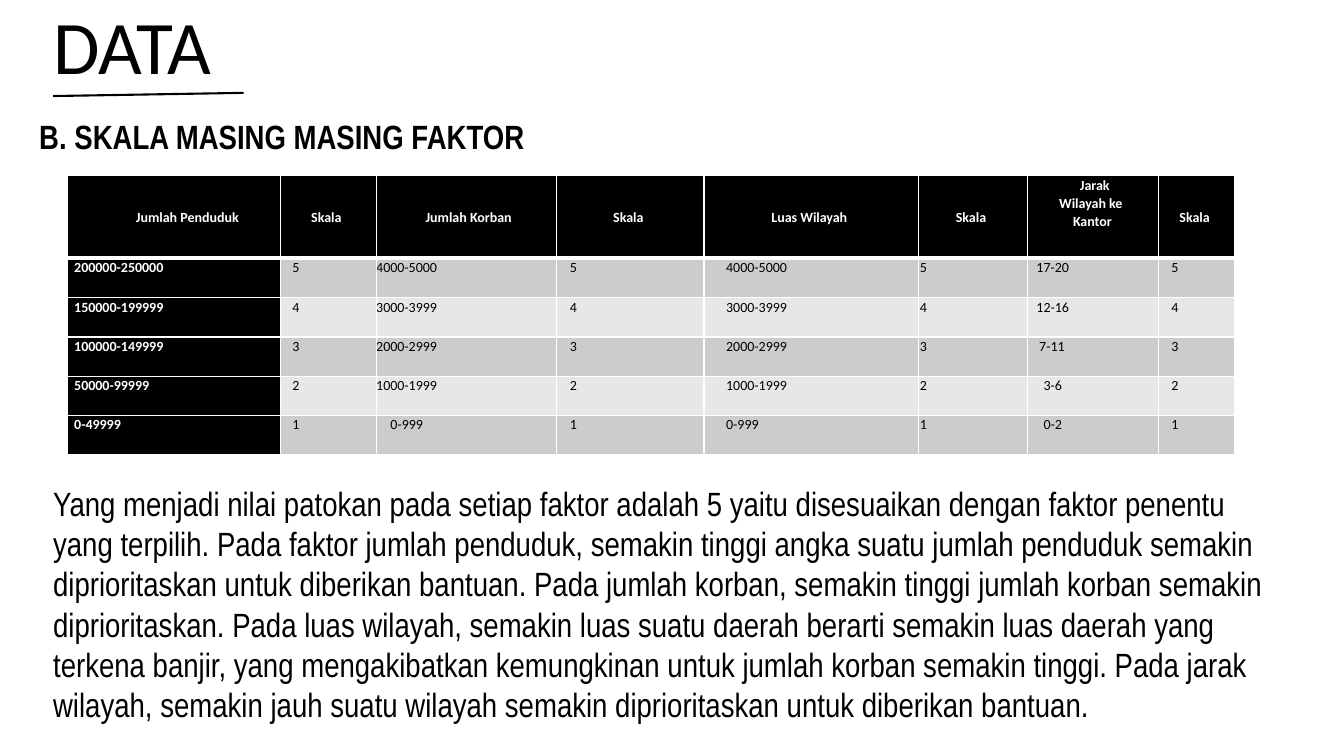
from lxml.etree import SubElement
from pptx import Presentation
from pptx.dml.color import RGBColor
from pptx.enum.shapes import MSO_CONNECTOR
from pptx.enum.text import MSO_ANCHOR, PP_ALIGN
from pptx.oxml.ns import qn
from pptx.util import Cm, Pt

COLORS = {"black": "000000", "white": "FFFFFF", "dark_band": "CCCCCC", "light_band": "E7E7E7"}

COL_WIDTHS = [5.38, 2.41, 4.55, 3.71, 5.41, 2.74, 3.3, 1.93]
HEADER_HEIGHT, ROW_HEIGHT = 2.08, 0.99
HEADERS = ["Jumlah Penduduk", "Skala", "Jumlah Korban", "Skala", "Luas Wilayah", "Skala",
           "Jarak\nWilayah ke\nKantor", "Skala"]
# Left margin and first-line indent of header paragraphs, by column
HEADER_INDENTS = {0: [(0.58, 0.2)], 2: [(0.18, 0.03)], 6: [(0.2, 0), (0.46, -0.46), (0.08, 0)]}
BODY_INDENTS = [0.18, 0.3, 0, 0.33, 0.56, 0.03, 0.23, 0.33]
SPECIAL_INDENTS = {"0-999": {2: 0.36}, "7-11": {6: 0.3}, "3-6": {6: 0.41}, "0-2": {6: 0.41}}
# Population, victims, area, distance; the scale falls from 5 to 1
LEVELS = [
    ("200000-250000", "4000-5000", "4000-5000", "17-20"),
    ("150000-199999", "3000-3999", "3000-3999", "12-16"),
    ("100000-149999", "2000-2999", "2000-2999", "7-11"),
    ("50000-99999", "1000-1999", "1000-1999", "3-6"),
    ("0-49999", "0-999", "0-999", "0-2"),
]
EXPLANATION = (
    "Yang menjadi nilai patokan pada setiap faktor adalah 5 yaitu disesuaikan dengan faktor "
    "penentu yang terpilih. Pada faktor jumlah penduduk, semakin tinggi angka suatu jumlah "
    "penduduk semakin diprioritaskan untuk diberikan bantuan. Pada jumlah korban, semakin "
    "tinggi jumlah korban semakin diprioritaskan. Pada luas wilayah, semakin luas suatu daerah "
    "berarti semakin luas daerah yang terkena banjir, yang mengakibatkan kemungkinan untuk "
    "jumlah korban semakin tinggi. Pada jarak wilayah, semakin jauh suatu wilayah semakin "
    "diprioritaskan untuk diberikan bantuan."
)


def rgb(name):
    return RGBColor.from_string(COLORS[name])


def write(tf, text, *, size, font="Calibri", color="black", bold=False,
          align=PP_ALIGN.LEFT, spacing=None, indents=()):
    """Write one paragraph per line of text."""
    for i, line in enumerate(text.split("\n")):
        p = tf.paragraphs[0] if i == 0 else tf.add_paragraph()
        p.alignment = align
        if spacing:
            p.line_spacing = spacing
        left, first = indents[i] if i < len(indents) else (0, 0)
        pPr = p._p.get_or_add_pPr()
        pPr.set("marL", str(Cm(left)))
        pPr.set("indent", str(Cm(first)))
        r = p.add_run()
        r.text = line
        r.font.size, r.font.name, r.font.bold = Pt(size), font, bold
        r.font.color.rgb = rgb(color)


def add_text(s, box, text, anchor=MSO_ANCHOR.TOP, margins=None, **fmt):
    tf = s.shapes.add_textbox(*map(Cm, box)).text_frame
    tf.word_wrap = True
    tf.vertical_anchor = anchor
    if margins:
        tf.margin_left, tf.margin_top, tf.margin_right, tf.margin_bottom = map(Cm, margins)
    write(tf, text, **fmt)


def add_title(s, box):
    left, top, width, height = box
    add_text(s, box, "DATA", anchor=MSO_ANCHOR.BOTTOM, size=54, spacing=0.9)
    # Slightly rising underline
    base = top + height
    line = s.shapes.add_connector(MSO_CONNECTOR.STRAIGHT, Cm(left + 0.25), Cm(base),
                                  Cm(left + 5.05), Cm(base - 0.08))
    line.line.color.rgb = rgb("black")
    line.line.width = Pt(1.5)
    SubElement(line._element.spPr, qn("a:effectLst"))


def set_borders(cell, bottom, top):
    tcPr = cell._tc.get_or_add_tcPr()
    for side, width in (("L", 1), ("R", 1), ("T", top), ("B", bottom)):
        ln = SubElement(tcPr, qn(f"a:ln{side}"), w=str(Pt(width)))
        fill = SubElement(ln, qn("a:solidFill"))
        SubElement(fill, qn("a:srgbClr"), val=COLORS["white"])


def fill_cell(cell, text, fill, anchor=MSO_ANCHOR.TOP, bottom=1, top=1, **fmt):
    cell.margin_left = cell.margin_top = cell.margin_bottom = 0
    cell.margin_right = Cm(0.1)
    cell.vertical_anchor = anchor
    set_borders(cell, bottom, top)
    cell.fill.solid()
    cell.fill.fore_color.rgb = rgb(fill)
    write(cell.text_frame, text, size=10, **fmt)


def add_scale_table(s, left, top):
    height = HEADER_HEIGHT + ROW_HEIGHT * len(LEVELS)
    table = s.shapes.add_table(len(LEVELS) + 1, len(COL_WIDTHS), Cm(left), Cm(top),
                               Cm(sum(COL_WIDTHS)), Cm(height)).table
    table.horz_banding = False
    for column, width in zip(table.columns, COL_WIDTHS):
        column.width = Cm(width)
    for i, row in enumerate(table.rows):
        row.height = Cm(ROW_HEIGHT if i else HEADER_HEIGHT)

    # Header row
    for c, text in enumerate(HEADERS):
        multiline = "\n" in text
        fill_cell(table.cell(0, c), text, "black", bottom=3,
                  anchor=MSO_ANCHOR.TOP if multiline else MSO_ANCHOR.MIDDLE,
                  color="white", bold=True, align=PP_ALIGN.CENTER,
                  spacing=1.07, indents=HEADER_INDENTS.get(c, ()))

    # Each range is followed by its scale value
    for i, level in enumerate(LEVELS):
        scale = str(len(LEVELS) - i)
        values = [text for value in level for text in (value, scale)]
        band = "light_band" if i % 2 else "dark_band"
        for c, text in enumerate(values):
            indent = SPECIAL_INDENTS.get(text, {}).get(c, BODY_INDENTS[c])
            fill_cell(table.cell(i + 1, c), text, band if c else "black",
                      top=1 if i else 3, color="black" if c else "white",
                      bold=c == 0, spacing=1.07, indents=[(indent, 0)])


def add_heading(s, box):
    add_text(s, box, "B. SKALA MASING MASING FAKTOR", anchor=MSO_ANCHOR.MIDDLE,
             margins=(0, 0, 0.08, 0), size=24, font="Arial Narrow", bold=True,
             indents=[(0, 0.99)])


def add_explanation(s, box):
    add_text(s, box, EXPLANATION, size=24, font="Arial Narrow")


def main():
    prs = Presentation()
    prs.slide_width, prs.slide_height = Cm(33.87), Cm(19.05)
    s = prs.slides.add_slide(prs.slide_layouts[6])
    add_title(s, (1.09, 0, 26.75, 2.42))
    add_heading(s, (0, 2.9, 31.55, 1.04))
    add_explanation(s, (1.09, 12.04, 31.55, 6.4))
    add_scale_table(s, 1.69, 4.43)
    prs.save("out.pptx")


if __name__ == "__main__":
    main()
